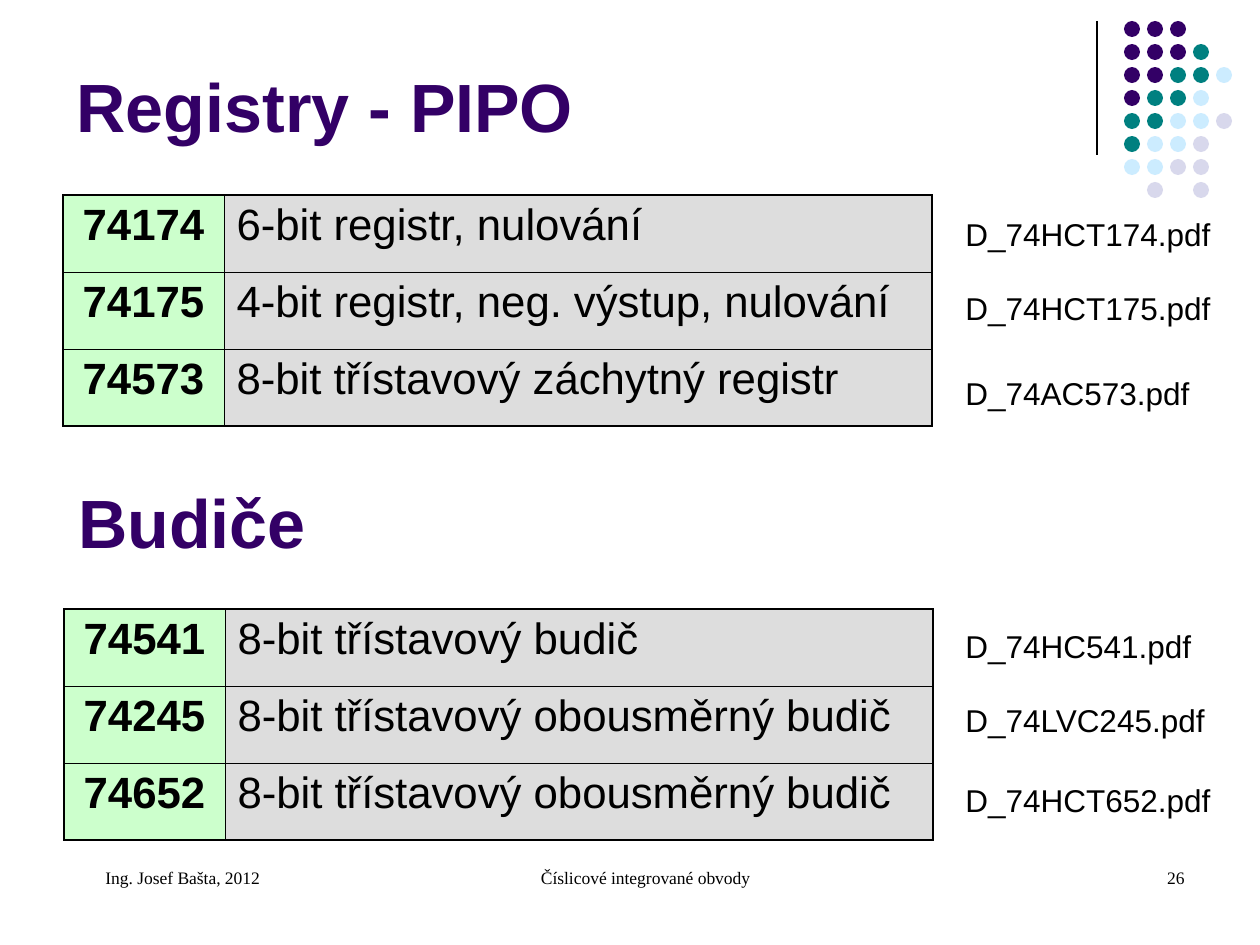
from lxml import etree
from pptx import Presentation
from pptx.dml.color import RGBColor
from pptx.enum.shapes import MSO_CONNECTOR, MSO_SHAPE
from pptx.enum.text import MSO_ANCHOR, MSO_AUTO_SIZE, PP_ALIGN
from pptx.oxml.ns import qn
from pptx.util import Emu, Pt

LEFT, CENTER, RIGHT = PP_ALIGN.LEFT, PP_ALIGN.CENTER, PP_ALIGN.RIGHT
TOP, BOTTOM = MSO_ANCHOR.TOP, MSO_ANCHOR.BOTTOM
NO_FIT, GROW = MSO_AUTO_SIZE.NONE, MSO_AUTO_SIZE.SHAPE_TO_FIT_TEXT
OVAL, STRAIGHT = MSO_SHAPE.OVAL, MSO_CONNECTOR.STRAIGHT

PURPLE = RGBColor(0x33, 0x00, 0x66)
TEAL = RGBColor(0x00, 0x80, 0x80)
SKY = RGBColor(0xCC, 0xEC, 0xFF)
LAVENDER = RGBColor(0xD8, 0xD8, 0xEC)
GREEN = RGBColor(0xCC, 0xFF, 0xCC)
GRAY = RGBColor(0xDD, 0xDD, 0xDD)
BLACK = RGBColor(0x00, 0x00, 0x00)

HEADING = {"name": "Arial", "size": Pt(39), "bold": True}
CODE = {"name": "Arial", "size": Pt(25), "bold": True}
DESCRIPTION = {"name": "Arial", "size": Pt(25), "bold": False}
FILE_NAME = {"name": "Arial", "size": Pt(18)}
FOOTER = {"name": "Times New Roman", "size": Pt(10)}

# Dot pattern: one letter per dot, a space for a gap
DOT_COLORS = {"P": PURPLE, "T": TEAL, "S": SKY, "L": LAVENDER}
DOT_ROWS = ["PPP", "PPPT", "PPTTS", "PTTS", "TTSSL", "TSSL", "SSLL", " L L"]
DOT_LEFT, DOT_TOP, DOT_PITCH, DOT_SIZE = 1124, 21, 23, 16

COLUMN_WIDTHS = [161, 708]
ROW_HEIGHT = 77
THIN, THICK = Pt(0.45), Pt(1.08)

REGISTERS = [
    ("74174", "6-bit registr, nulování"),
    ("74175", "4-bit registr, neg. výstup, nulování"),
    ("74573", "8-bit třístavový záchytný registr"),
]
DRIVERS = [
    ("74541", "8-bit třístavový budič"),
    ("74245", "8-bit třístavový obousměrný budič"),
    ("74652", "8-bit třístavový obousměrný budič"),
]
# Text, top, width
DATASHEETS = [
    ("D_74HCT174.pdf", 209, 273),
    ("D_74HCT175.pdf", 283, 273),
    ("D_74AC573.pdf", 368, 263),
    ("D_74HC541.pdf", 621, 263),
    ("D_74LVC245.pdf", 695, 278),
    ("D_74HCT652.pdf", 775, 307),
]
# Text, left, width, alignment
FOOTERS = [
    ("Ing. Josef Bašta, 2012", 63, 294, LEFT),
    ("Číslicové integrované obvody", 431, 399, CENTER),
    ("26", 903, 294, RIGHT),
]


def px(value):
    return Emu(round(value * 914400 / 126))


def write(frame, text, style, color=BLACK, align=LEFT):
    paragraph = frame.paragraphs[0]
    paragraph.alignment = align
    run = paragraph.add_run()
    run.text = text
    for name, value in style.items():
        setattr(run.font, name, value)
    run.font.color.rgb = color
    return paragraph


def set_frame(frame, anchor=TOP, fit=NO_FIT):
    frame.word_wrap = True
    frame.auto_size = fit
    frame.vertical_anchor = anchor


def place(shape, left, top, width, height):
    shape.left, shape.top = px(left), px(top)
    shape.width, shape.height = px(width), px(height)


def add_text(slide, text, box, style, color=BLACK, align=LEFT, anchor=TOP, fit=NO_FIT):
    shape = slide.shapes.add_textbox(*map(px, box))
    set_frame(shape.text_frame, anchor, fit)
    return write(shape.text_frame, text, style, color, align)


def add_title(slide, text, box):
    title = slide.shapes.title
    place(title, *box)
    set_frame(title.text_frame, BOTTOM)
    write(title.text_frame, text, HEADING, PURPLE)


def add_rule(slide, x, top, bottom):
    rule = slide.shapes.add_connector(STRAIGHT, px(x), px(top), px(x), px(bottom))
    rule.line.color.rgb = BLACK
    rule.line.width = Pt(0.75)
    etree.SubElement(rule._element.spPr, qn("a:effectLst"))


def add_dots(slide):
    group = slide.shapes.add_group_shape()
    for row, letters in enumerate(DOT_ROWS):
        for column, letter in enumerate(letters):
            if letter not in DOT_COLORS:
                continue
            left, top = DOT_LEFT + column * DOT_PITCH, DOT_TOP + row * DOT_PITCH
            dot = group.shapes.add_shape(OVAL, px(left), px(top), px(DOT_SIZE), px(DOT_SIZE))
            dot.shadow.inherit = False
            dot.fill.solid()
            dot.fill.fore_color.rgb = DOT_COLORS[letter]
            dot.line.fill.background()


def set_borders(cell, widths):
    properties = cell._tc.get_or_add_tcPr()
    for index, (side, width) in enumerate(widths.items()):
        line = etree.Element(qn(f"a:ln{side}"), w=str(width))
        fill = etree.SubElement(line, qn("a:solidFill"))
        etree.SubElement(fill, qn("a:srgbClr"), val=str(BLACK))
        properties.insert(index, line)


def add_circuit_table(slide, left, top, circuits):
    last = len(circuits) - 1
    box = (left, top, sum(COLUMN_WIDTHS), ROW_HEIGHT * len(circuits))
    table = slide.shapes.add_table(len(circuits), len(COLUMN_WIDTHS), *map(px, box)).table
    table.first_row = table.horz_banding = False
    for column, width in zip(table.columns, COLUMN_WIDTHS):
        column.width = px(width)
    formats = [(CODE, GREEN, CENTER), (DESCRIPTION, GRAY, LEFT)]
    for row, texts in enumerate(circuits):
        table.rows[row].height = px(ROW_HEIGHT)
        for column, (text, (style, fill, align)) in enumerate(zip(texts, formats)):
            cell = table.cell(row, column)
            cell.fill.solid()
            cell.fill.fore_color.rgb = fill
            write(cell.text_frame, text, style, align=align)
            # Thick outer frame, thin inner lines
            set_borders(cell, {
                "L": THICK if column == 0 else THIN,
                "R": THICK if column == 1 else THIN,
                "T": THICK if row == 0 else THIN,
                "B": THICK if row == last else THIN,
            })


def main():
    presentation = Presentation()
    presentation.slide_width, presentation.slide_height = px(1260), px(945)
    slide = presentation.slides.add_slide(presentation.slide_layouts[5])

    # Corner decoration
    add_rule(slide, 1097, 21, 155)
    add_dots(slide)

    # Registers and drivers
    add_title(slide, "Registry - PIPO", (64, 45, 1040, 108))
    add_circuit_table(slide, 63, 195, REGISTERS)
    add_text(slide, "Budiče", (66, 460, 1040, 108), HEADING, PURPLE, anchor=BOTTOM)
    add_circuit_table(slide, 64, 609, DRIVERS)

    # Datasheet names
    for text, top, width in DATASHEETS:
        add_text(slide, text, (953, top, width, 50), FILE_NAME, fit=GROW)

    # Footer
    for text, left, width, align in FOOTERS:
        paragraph = add_text(slide, text, (left, 861, width, 63), FOOTER, align=align)
        paragraph._p.get_or_add_pPr().set("marL", str(px(30)))

    presentation.save("out.pptx")


if __name__ == "__main__":
    main()
